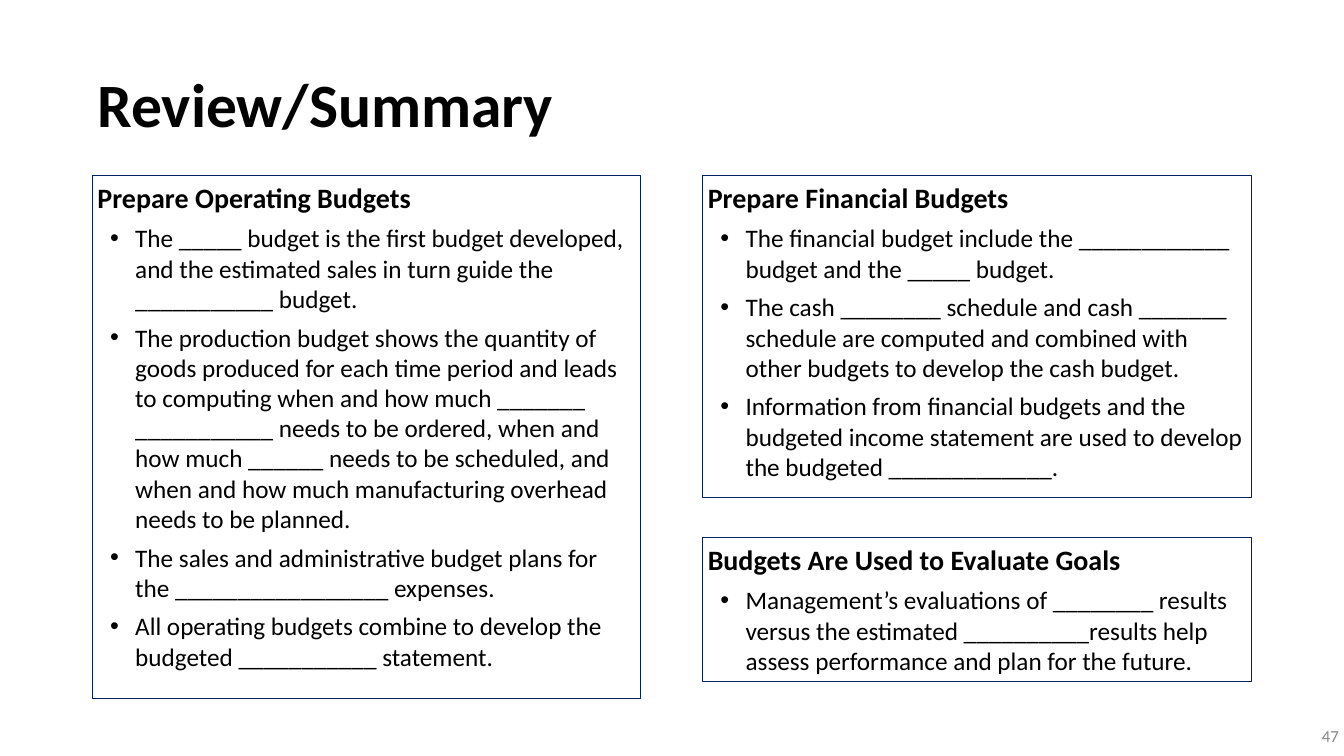
from lxml.etree import SubElement
from pptx import Presentation
from pptx.dml.color import RGBColor
from pptx.enum.shapes import MSO_SHAPE
from pptx.enum.text import MSO_ANCHOR, MSO_AUTO_SIZE, PP_ALIGN
from pptx.oxml.ns import qn
from pptx.util import Pt

BLACK = RGBColor(0x00, 0x00, 0x00)
NAVY = RGBColor(0x00, 0x20, 0x60)
GREY = RGBColor(0x88, 0x88, 0x88)

LEFT, RIGHT, TOP, WIDE = 66, 502, 125.5, 391.75

PANELS = [
    (LEFT, TOP, 373.7, "Prepare Operating Budgets", [
        "The _____ budget is the first budget developed, and the estimated sales "
        "in turn guide the ___________ budget.",
        "The production budget shows the quantity of goods produced for each time "
        "period and leads to computing when and how much _______ ___________ needs "
        "to be ordered, when and how much ______ needs to be scheduled, and when "
        "and how much manufacturing overhead needs to be planned.",
        "The sales and administrative budget plans for the _________________ expenses.",
        "All operating budgets combine to develop the budgeted ___________ statement.",
    ]),
    (RIGHT, TOP, 229.7, "Prepare Financial Budgets", [
        "The financial budget include the ____________ budget and the _____ budget.",
        "The cash ________ schedule and cash _______ schedule are computed and "
        "combined with other budgets to develop the cash budget.",
        "Information from financial budgets and the budgeted income statement are "
        "used to develop the budgeted _____________.",
    ]),
    (RIGHT, 384, 103, "Budgets Are Used to Evaluate Goals", [
        "Management’s evaluations of ________ results versus the estimated "
        "__________results help assess performance and plan for the future.",
    ]),
]


class Deck:
    """Holds the text style and the current slide."""

    font = "Calibri"
    inset = Pt(3.6)

    def __init__(self, slide):
        self.slide = slide

    def frame(self, shape, anchor, wrap=True):
        frame = shape.text_frame
        frame.word_wrap = wrap
        frame.vertical_anchor = anchor
        frame.margin_left = frame.margin_right = self.inset
        frame.margin_top = frame.margin_bottom = self.inset
        return frame

    def style(self, para, size, color=BLACK, bold=False, align=PP_ALIGN.LEFT):
        para.alignment = align
        for run in para.runs:
            run.font.name = self.font
            run.font.size = Pt(size)
            run.font.bold = bold
            run.font.color.rgb = color

    def label(self, x, y, w, h, text, size, wrap=True, **look):
        box = self.slide.shapes.add_textbox(Pt(x), Pt(y), Pt(w), Pt(h))
        frame = self.frame(box, MSO_ANCHOR.MIDDLE, wrap)
        frame.text = text
        self.style(frame.paragraphs[0], size, **look)
        return frame

    def bullet(self, para):
        para.level = 1
        props = para._p.get_or_add_pPr()
        props.set("marL", str(Pt(27)))
        props.set("indent", str(Pt(-18)))
        SubElement(props, qn("a:buFont"), typeface="Arial")
        SubElement(props, qn("a:buChar"), char="•")

    def panel(self, x, y, h, head, points):
        box = self.slide.shapes.add_shape(
            MSO_SHAPE.RECTANGLE, Pt(x), Pt(y), Pt(WIDE), Pt(h))
        box.shadow.inherit = False
        box.fill.background()
        box.line.color.rgb = NAVY
        box.line.width = Pt(0.75)
        frame = self.frame(box, MSO_ANCHOR.TOP)
        frame.auto_size = MSO_AUTO_SIZE.SHAPE_TO_FIT_TEXT
        frame.text = "\n".join([head, *points])
        title, *items = frame.paragraphs
        for para in frame.paragraphs:
            para.space_before = Pt(6)
        self.style(title, 20, bold=True)
        for para in items:
            self.style(para, 18)
            self.bullet(para)


def main():
    show = Presentation()
    show.slide_width, show.slide_height = Pt(960), Pt(540)
    deck = Deck(show.slides.add_slide(show.slide_layouts[6]))
    title = deck.label(LEFT, 28, 828, 98, "Review/Summary", 44, bold=True)
    title.paragraphs[0].line_spacing = 0.9
    for panel in PANELS:
        deck.panel(*panel)
    page = deck.label(939.6, 515.5, 20.4, 19.5, "47", 12, wrap=False,
                      color=GREY, align=PP_ALIGN.RIGHT)
    page.auto_size = MSO_AUTO_SIZE.SHAPE_TO_FIT_TEXT
    show.save("out.pptx")


if __name__ == "__main__":
    main()
